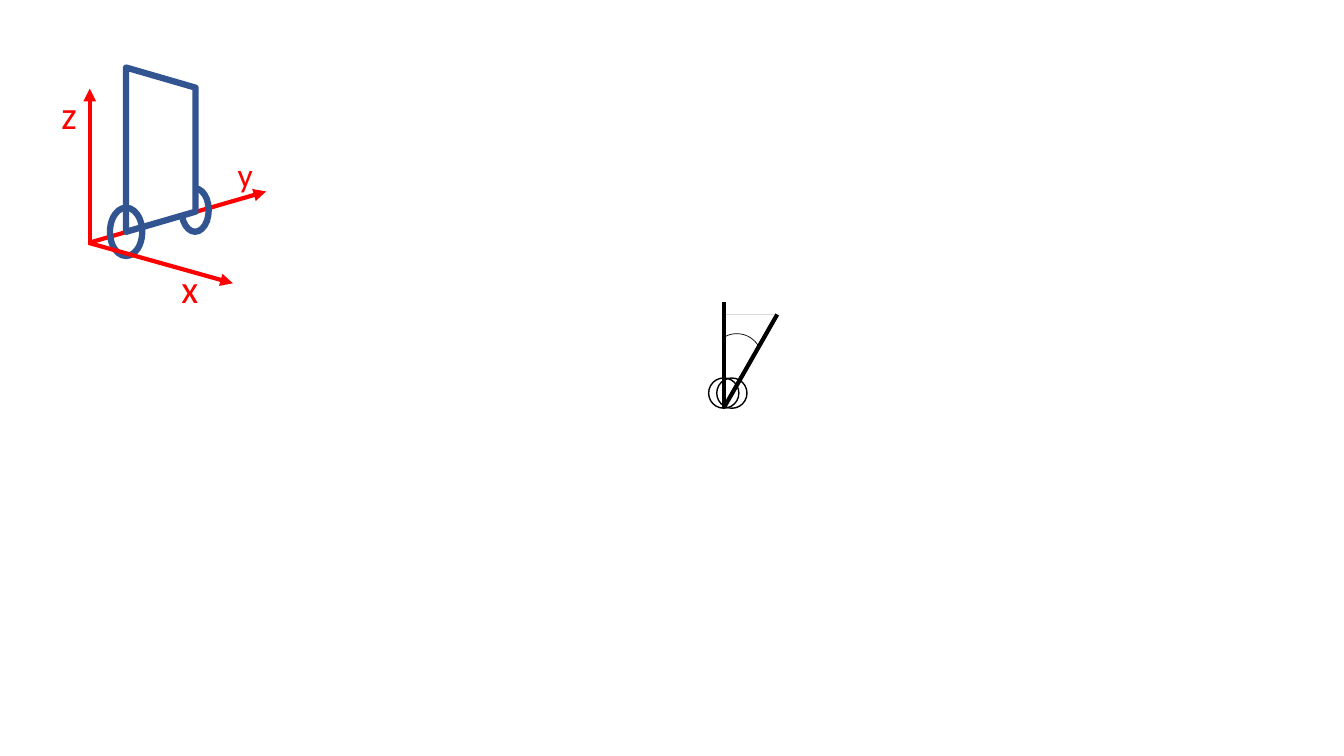
from lxml import etree
from pptx import Presentation
from pptx import util as u
from pptx.dml.color import RGBColor
from pptx.enum import shapes, text
from pptx.oxml import ns

RED, BLUE, BLACK, GREY, WHITE = "FF0000", "325491", "000000", "D9D9D9", "FFFFFF"

deck = Presentation()
deck.slide_width, deck.slide_height = u.Inches(13.33), u.Inches(7.5)
slide = deck.slides.add_slide(deck.slide_layouts[6])
col, row = deck.slide_width / 100, deck.slide_height / 100


def segment(parent, start, end, colour, points, arrow=False):
    edge = parent.add_connector(
        shapes.MSO_CONNECTOR.STRAIGHT,
        *(int(share * unit) for share, unit in zip(start + end, (col, row) * 2)))
    edge.line.color.rgb = RGBColor.from_string(colour)
    edge.line.width = u.Pt(points)
    if arrow:
        etree.SubElement(edge.line._get_or_add_ln(), ns.qn("a:tailEnd"), type="triangle")
    etree.SubElement(edge._element.spPr, ns.qn("a:effectLst"))


def outline(parent, preset, box, colour, points, rotation=0, fill=None):
    figure = parent.add_shape(
        preset, *(int(share * unit) for share, unit in zip(box, (col, row) * 2)))
    figure.shadow.inherit = False
    figure.rotation = rotation
    figure.line.color.rgb = RGBColor.from_string(colour)
    figure.line.width = u.Pt(points)
    if fill:
        figure.fill.solid()
        figure.fill.fore_color.rgb = RGBColor.from_string(fill)
    else:
        figure.fill.background()
    return figure


kind = shapes.MSO_SHAPE
origin = (6.6, 32.13)
tilted_foot, tilted_top = (53.93, 53.73), (57.83, 41.6)

segment(slide.shapes, (tilted_foot[0], tilted_top[1]), tilted_top, GREY, 0.5)

robot = slide.shapes.add_group_shape().shapes
segment(robot, origin, (19.8, 25.33), RED, 3, True)
outline(robot, kind.OVAL, (13.5, 24.93, 2.03, 5.73), BLUE, 4.5)
segment(robot, (6.68, 32.4), (6.68, 11.73), RED, 3, True)
body = outline(robot, kind.TRAPEZOID, (5.85, 15.2, 12.23, 9.2), BLUE, 4.5, 90, WHITE)
body.adjustments[0] = 0.29
outline(robot, kind.OVAL, (8.18, 27.47, 2.4, 6.4), BLUE, 4.5)
segment(robot, origin, (17.33, 37.47), RED, 3, True)

frame_format = {"word_wrap": False, "auto_size": text.MSO_AUTO_SIZE.SHAPE_TO_FIT_TEXT}
for axis, box, size in (
    ("x", (12.75, 34.27, 2.78, 7.6), 28),
    ("y", (16.95, 19.73, 2.63, 6.67), 24),
    ("z", (3.83, 11.33, 2.7, 7.6), 28),
):
    label = robot.add_textbox(
        *(int(share * unit) for share, unit in zip(box, (col, row) * 2))).text_frame
    for name, value in frame_format.items():
        setattr(label, name, value)
    letter = label.paragraphs[0].add_run()
    letter.text = axis
    for name, value in {"name": "Calibri", "size": u.Pt(size)}.items():
        setattr(letter.font, name, value)
    letter.font.color.rgb = RGBColor.from_string(RED)

wheel = (2.25, 4)
outline(slide.shapes, kind.OVAL, (52.73, 50) + wheel, BLACK, 1)
segment(slide.shapes, (53.85, 54), (53.85, 40), BLACK, 3)

tilted = slide.shapes.add_group_shape().shapes
outline(tilted, kind.OVAL, (53.33, 50) + wheel, BLACK, 1, 30)
segment(tilted, tilted_foot, tilted_top, BLACK, 3)

outline(slide.shapes, kind.ARC, (52.95, 44.13, 3.75, 6.67), BLACK, 0.5, 332.1)

deck.save("out.pptx")
